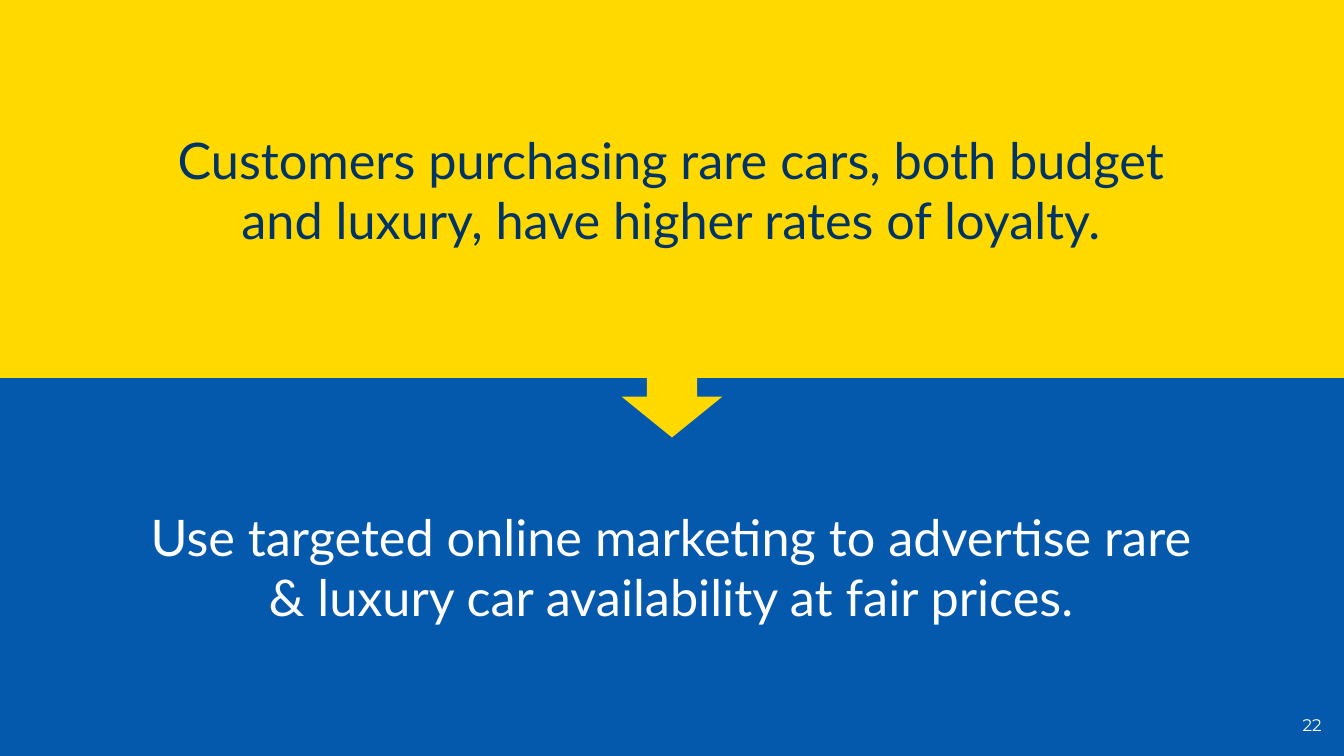
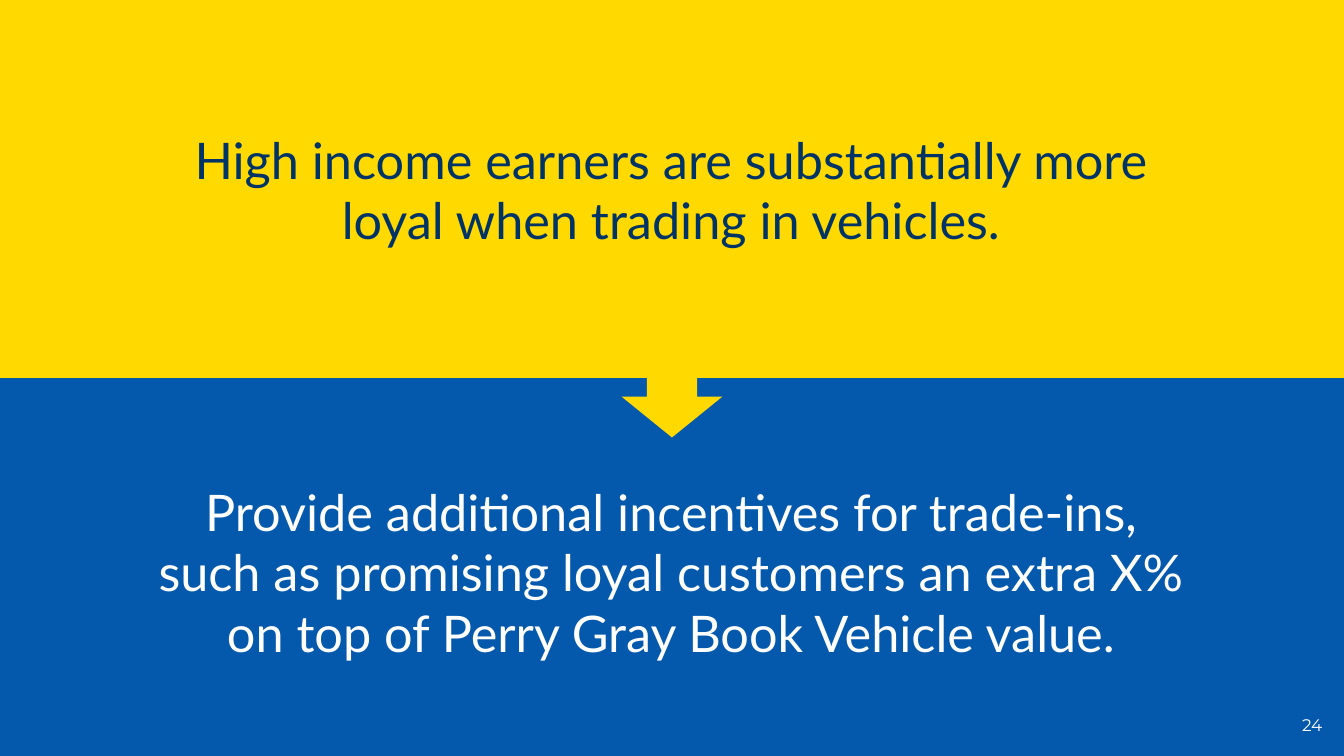
from dataclasses import dataclass

from pptx import Presentation
from pptx.dml.color import RGBColor
from pptx.enum.shapes import MSO_SHAPE
from pptx.enum.text import MSO_ANCHOR, MSO_AUTO_SIZE, PP_ALIGN
from pptx.util import Inches, Pt


@dataclass(frozen=True)
class Theme:
    yellow: RGBColor = RGBColor(0xFF, 0xD9, 0x00)
    blue: RGBColor = RGBColor(0x05, 0x59, 0xAD)
    navy: RGBColor = RGBColor(0x00, 0x33, 0x66)
    white: RGBColor = RGBColor(0xFF, 0xFF, 0xFF)
    statement_font: str = "Lato"
    number_font: str = "Montserrat"
    statement_size: Pt = Pt(36)
    number_size: Pt = Pt(12)


THEME = Theme()
SLIDE_WIDTH, SLIDE_HEIGHT = Inches(13.33), Inches(7.5)
BAND_HEIGHT = Inches(3.75)
STATEMENT_LEFT, STATEMENT_WIDTH, STATEMENT_HEIGHT = Inches(1.37), Inches(10.57), Inches(3.6)
ARROW_WIDTH, ARROW_HEIGHT = Inches(1), Inches(0.81)

# Page number, finding, recommendation, top of the recommendation
SLIDES = [
    (
        "22",
        "Customers purchasing rare cars, both budget and luxury, have higher rates of loyalty.",
        "Use targeted online marketing to advertise rare & luxury car availability at fair prices.",
        Inches(3.82),
    ),
    (
        "24",
        "High income earners are substantially more loyal when trading in vehicles.",
        "Provide additional incentives for trade-ins, such as promising loyal customers "
        "an extra X% on top of Perry Gray Book Vehicle value.",
        Inches(3.87),
    ),
]


def add_filled_shape(slide, kind, left, top, width, height, color):
    shape = slide.shapes.add_shape(kind, left, top, width, height)
    shape.shadow.inherit = False
    shape.fill.solid()
    shape.fill.fore_color.rgb = color
    shape.line.fill.background()


def set_centered_text(shape, text, font_name, size, color):
    text_frame = shape.text_frame
    text_frame.text = text
    text_frame.word_wrap = True
    text_frame.auto_size = MSO_AUTO_SIZE.NONE
    text_frame.vertical_anchor = MSO_ANCHOR.MIDDLE
    paragraph = text_frame.paragraphs[0]
    paragraph.alignment = PP_ALIGN.CENTER
    font = paragraph.runs[0].font
    font.name = font_name
    font.size = size
    font.color.rgb = color


presentation = Presentation()
presentation.slide_width = SLIDE_WIDTH
presentation.slide_height = SLIDE_HEIGHT
title_only = presentation.slide_layouts.get_by_name("Title Only")

for page_number, finding, recommendation, recommendation_top in SLIDES:
    slide = presentation.slides.add_slide(title_only)

    for band_top, color in ((0, THEME.yellow), (BAND_HEIGHT, THEME.blue)):
        add_filled_shape(
            slide, MSO_SHAPE.RECTANGLE, 0, band_top, SLIDE_WIDTH, BAND_HEIGHT, color
        )
    add_filled_shape(
        slide, MSO_SHAPE.DOWN_ARROW, (SLIDE_WIDTH - ARROW_WIDTH) // 2, Inches(3.53),
        ARROW_WIDTH, ARROW_HEIGHT, THEME.yellow,
    )

    title = slide.shapes.title
    title.left, title.top = STATEMENT_LEFT, Inches(0.08)
    title.width, title.height = STATEMENT_WIDTH, STATEMENT_HEIGHT
    # Bring the title in front of the bands
    title.element.getparent().append(title.element)
    set_centered_text(title, finding, THEME.statement_font, THEME.statement_size, THEME.navy)

    recommendation_box = slide.shapes.add_textbox(
        STATEMENT_LEFT, recommendation_top, STATEMENT_WIDTH, STATEMENT_HEIGHT
    )
    set_centered_text(
        recommendation_box, recommendation,
        THEME.statement_font, THEME.statement_size, THEME.white,
    )

    number_box = slide.shapes.add_textbox(
        Inches(12.71), Inches(6.93), Inches(0.61), Inches(0.53)
    )
    set_centered_text(
        number_box, page_number, THEME.number_font, THEME.number_size, THEME.white
    )

presentation.save("out.pptx")
